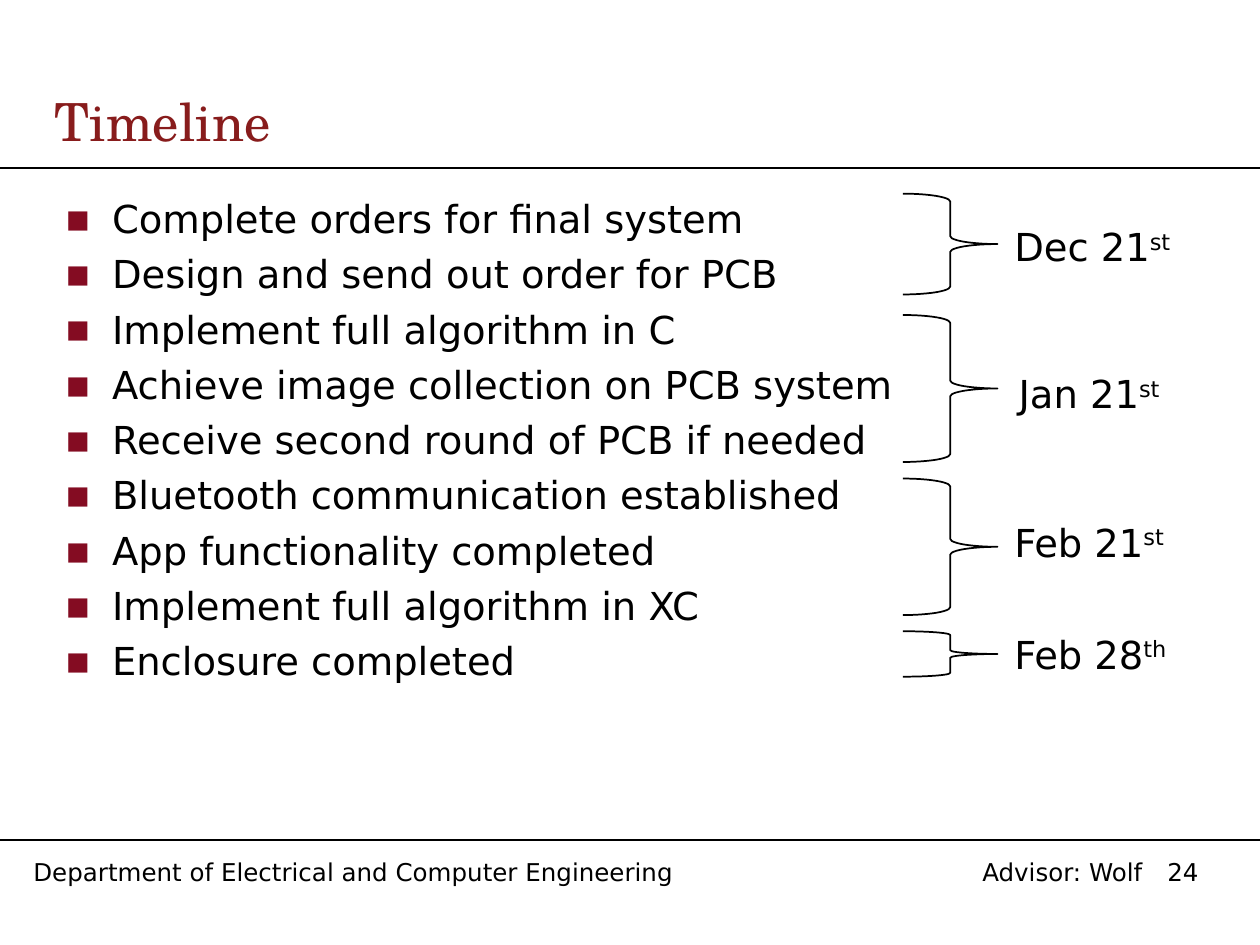
from lxml.etree import SubElement
from pptx import Presentation
from pptx.dml.color import RGBColor
from pptx.enum.shapes import MSO_CONNECTOR, MSO_SHAPE
from pptx.enum.text import MSO_ANCHOR, MSO_AUTO_SIZE, PP_ALIGN
from pptx.oxml.ns import qn
from pptx.util import Pt

BLACK, WHITE, TITLE_RED, BULLET_RED = "000000", "FFFFFF", "881C1C", "840C22"
SANS, SERIF = "DejaVu Sans", "TeX Gyre Schola"

TASKS = [
    "Complete orders for final system",
    "Design and send out order for PCB",
    "Implement full algorithm in C",
    "Achieve image collection on PCB system",
    "Receive second round of PCB if needed",
    "Bluetooth communication established",
    "App functionality completed",
    "Implement full algorithm in XC",
    "Enclosure completed",
]
# brace top, brace height, label left, label top, date, ordinal suffix
DEADLINES = [
    (110.7, 57.6, 572.5, 124, "Dec 21", "st"),
    (180, 84, 575, 208, "Jan 21", "st"),
    (273.5, 78, 572.5, 293, "Feb 21", "st"),
    (360.7, 26, 572.5, 357, "Feb 28", "th"),
]


def color(hex_code):
    return RGBColor.from_string(hex_code)


def add_run(p, text, size=22, font=SANS, fill=BLACK, baseline=0):
    r = p.add_run()
    r.text = text
    r.font.size = Pt(size)
    r.font.name = font
    r.font.color.rgb = color(fill)
    if baseline:
        r.font._element.set("baseline", str(baseline * 1000))


def add_bullet(p, char, fill, indent):
    pPr = p._p.get_or_add_pPr()
    pPr.set("marL", str(Pt(indent)))
    pPr.set("indent", str(-Pt(indent)))
    bu_clr = SubElement(pPr, qn("a:buClr"))
    SubElement(bu_clr, qn("a:srgbClr")).set("val", fill)
    SubElement(pPr, qn("a:buFont")).set("typeface", SANS)
    SubElement(pPr, qn("a:buChar")).set("char", char)


class SlideBuilder:
    def __init__(self, prs):
        self.s = prs.slides.add_slide(prs.slide_layouts[5])
        self.width = 720

    def title(self, text, x, y, w, h):
        sp = self.s.shapes.title
        sp.left, sp.top, sp.width, sp.height = Pt(x), Pt(y), Pt(w), Pt(h)
        tf = sp.text_frame
        tf.auto_size = MSO_AUTO_SIZE.NONE
        tf.vertical_anchor = MSO_ANCHOR.MIDDLE
        p = tf.paragraphs[0]
        p.alignment = PP_ALIGN.LEFT
        add_run(p, text, size=30, font=SERIF, fill=TITLE_RED)

    def rule(self, y):
        """Draw a line across the whole slide."""
        line = self.s.shapes.add_connector(
            MSO_CONNECTOR.STRAIGHT, 0, Pt(y), Pt(self.width), Pt(y))
        line.line.color.rgb = color(BLACK)
        line.line.width = Pt(1)
        SubElement(line._element.spPr, qn("a:effectLst"))

    def text_box(self, x, y, w, h, wrap=True):
        sp = self.s.shapes.add_textbox(Pt(x), Pt(y), Pt(w), Pt(h))
        sp.text_frame.word_wrap = wrap
        return sp.text_frame

    def label(self, text, x, y, w, h, size=22, suffix="",
              align=PP_ALIGN.LEFT, wrap=True):
        p = self.text_box(x, y, w, h, wrap).paragraphs[0]
        p.alignment = align
        add_run(p, text, size=size)
        if suffix:
            add_run(p, suffix, size=size, baseline=30)

    def bullets(self, items, x, y, w, h):
        tf = self.text_box(x, y, w, h)
        for i, item in enumerate(items):
            p = tf.add_paragraph() if i else tf.paragraphs[0]
            if i:
                p.space_before = Pt(5.2)
            add_bullet(p, "▪", BULLET_RED, 27)
            add_run(p, item)

    def brace(self, x, y, w, h):
        sp = self.s.shapes.add_shape(
            MSO_SHAPE.RIGHT_BRACE, Pt(x), Pt(y), Pt(w), Pt(h))
        sp.shadow.inherit = False
        sp.fill.solid()
        sp.fill.fore_color.rgb = color(WHITE)
        sp.line.color.rgb = color(BLACK)
        sp.line.width = Pt(1)


def main():
    prs = Presentation()
    prs.slide_width, prs.slide_height = Pt(720), Pt(540)
    b = SlideBuilder(prs)

    b.title("Timeline", 24, 48, 696, 42)
    b.rule(96)
    b.bullets(TASKS, 30, 108, 642, 354)
    for top, height, label_x, label_y, date, suffix in DEADLINES:
        b.brace(516, top, 54, height)
        b.label(date, label_x, label_y, 132, 34, suffix=suffix)

    b.rule(480)
    b.label("Department of Electrical and Computer Engineering",
            12, 486, 382, 24, size=14, wrap=False)
    b.label("Advisor: Wolf", 551, 486, 109, 24, size=14,
            align=PP_ALIGN.RIGHT, wrap=False)
    b.label("24", 660, 486, 48, 24, size=14)

    prs.save("out.pptx")


if __name__ == "__main__":
    main()
